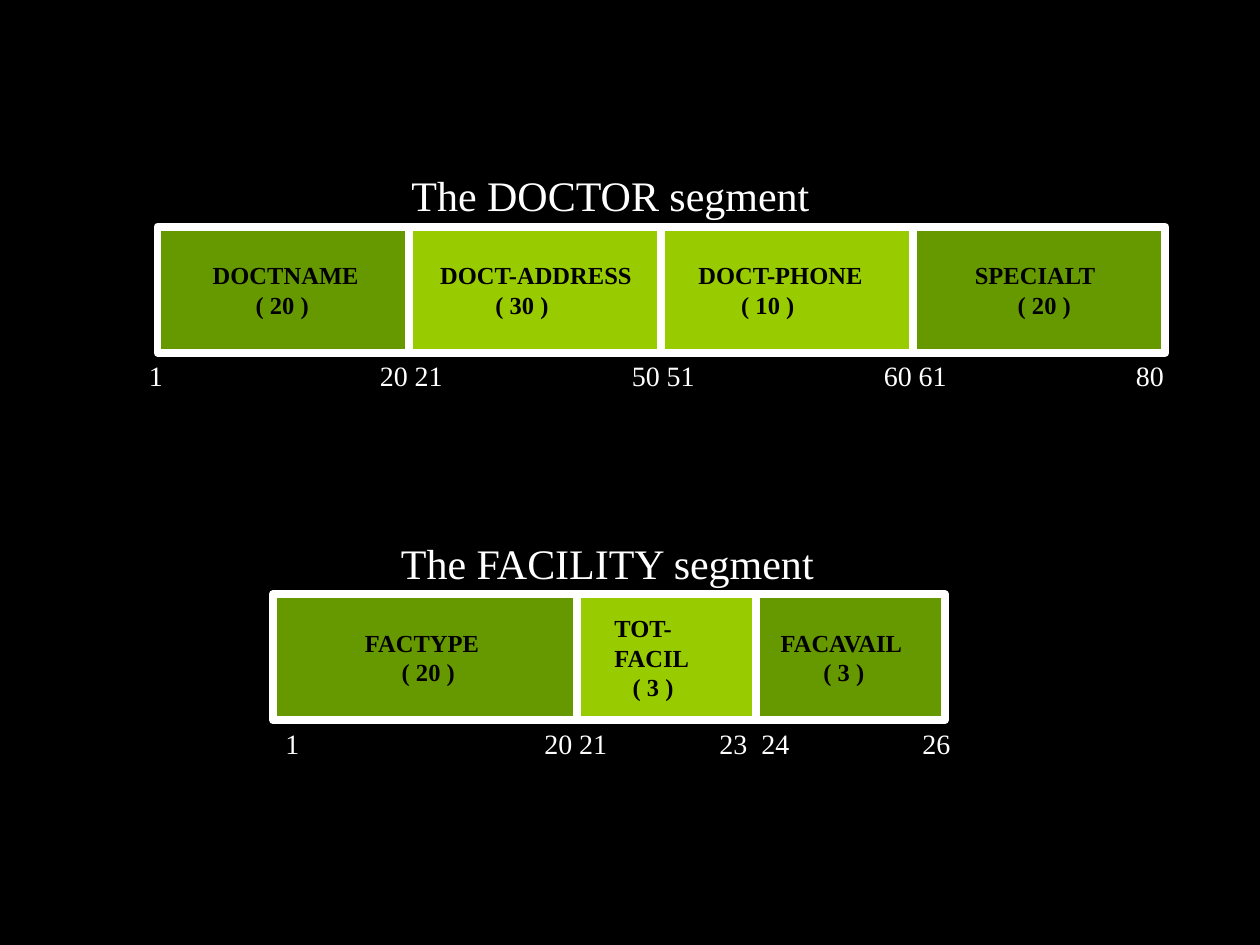
from itertools import accumulate
from pptx import Presentation
from pptx.dml.color import RGBColor
from pptx.enum.shapes import MSO_SHAPE
from pptx.enum.text import MSO_ANCHOR, PP_ALIGN
from pptx.oxml.ns import qn
from pptx.util import Pt
from lxml.etree import SubElement

HUES = {"back": "000000", "dark": "669900", "lime": "99CC00",
        "line": "FFFFFF", "light": "FFFFFF", "ink": "000000"}


class Board:
    """Holds the text style and the slide being drawn."""
    font = "Times New Roman"

    def __init__(self, slide):
        self.slide = slide
        fill = slide.background.fill
        fill.solid()
        fill.fore_color.rgb = self.hue("back")

    def hue(self, name):
        return RGBColor.from_string(HUES[name])

    def add_run(self, para, text, size, hue, bold=False):
        para.alignment = PP_ALIGN.LEFT
        run = para.add_run()
        run.text = text
        font = run.font
        font.name, font.size, font.bold = self.font, Pt(size), bold
        font.color.rgb = self.hue(hue)

    def label(self, x, y, w, h, text, size, tabs=()):
        """Add one line of text; tabs are left stops in points."""
        frame = self.slide.shapes.add_textbox(Pt(x), Pt(y), Pt(w), Pt(h)).text_frame
        frame.word_wrap = True
        para = frame.paragraphs[0]
        if tabs:
            stops = SubElement(para._p.get_or_add_pPr(), qn("a:tabLst"))
            for stop in tabs:
                SubElement(stops, qn("a:tab"), pos=str(Pt(stop)), algn="l")
        self.add_run(para, text, size, "light")

    def field(self, x, y, w, h, fill, lines):
        """Add a box; each line is a pair of text and indent."""
        box = self.slide.shapes.add_shape(MSO_SHAPE.RECTANGLE, Pt(x), Pt(y), Pt(w), Pt(h))
        box.shadow.inherit = False
        box.fill.solid()
        box.fill.fore_color.rgb = self.hue(fill)
        box.line.color.rgb = self.hue("line")
        box.line.width = Pt(4.5)
        frame = box.text_frame
        frame.word_wrap = True
        frame.vertical_anchor = MSO_ANCHOR.MIDDLE
        for i, (text, dent) in enumerate(lines):
            para = frame.add_paragraph() if i else frame.paragraphs[0]
            para._p.get_or_add_pPr().set("marL", str(Pt(dent)))
            self.add_run(para, text, 14, "ink", True)

    def segment(self, x, y, title, title_x, fields, scale, scale_x, scale_w, tabs):
        """Add a record: title above, fields side by side, byte scale below."""
        self.label(title_x, y - 36, 270, 36, title, 24)
        edges = accumulate((w for w, _, _ in fields), initial=x)
        for left, (w, fill, lines) in zip(edges, fields):
            self.field(left, y, w, 72, fill, lines)
        self.label(scale_x, y + 72, scale_w, 26.64, scale, 16, tabs)


def main():
    deck = Presentation()
    deck.slide_width, deck.slide_height = Pt(720), Pt(540)
    board = Board(deck.slides.add_slide(deck.slide_layouts[6]))
    doctor = [
        (144, "dark", [("DOCTNAME", 24.5), ("( 20 )", 49)]),
        (144, "lime", [("DOCT-ADDRESS", 10.5), ("( 30 )", 42)]),
        (144, "lime", [("DOCT-PHONE", 14), ("( 10 )", 38.5)]),
        (144, "dark", [("SPECIALT", 28), ("( 20 )", 52.5)]),
    ]
    board.segment(90, 129.6, "The DOCTOR segment", 228, doctor,
                  "1\t20 21\t50 51\t60 61\t80", 78, 606,
                  [132 + 144 * i for i in range(4)])
    facility = [
        (174, "dark", [("FACTYPE", 45.5), ("( 20 )", 66.5)]),
        (102, "lime", [("TOT-", 14), ("FACIL", 14), ("( 3 )", 24.5)]),
        (108, "dark", [("FACAVAIL", 7), ("( 3 )", 31.5)]),
    ]
    board.segment(156, 339.6, "The FACILITY segment", 222, facility,
                  "1\t20 21\t23\t24\t26", 156, 402, [148, 248, 272, 364])
    deck.save("out.pptx")


if __name__ == "__main__":
    main()
